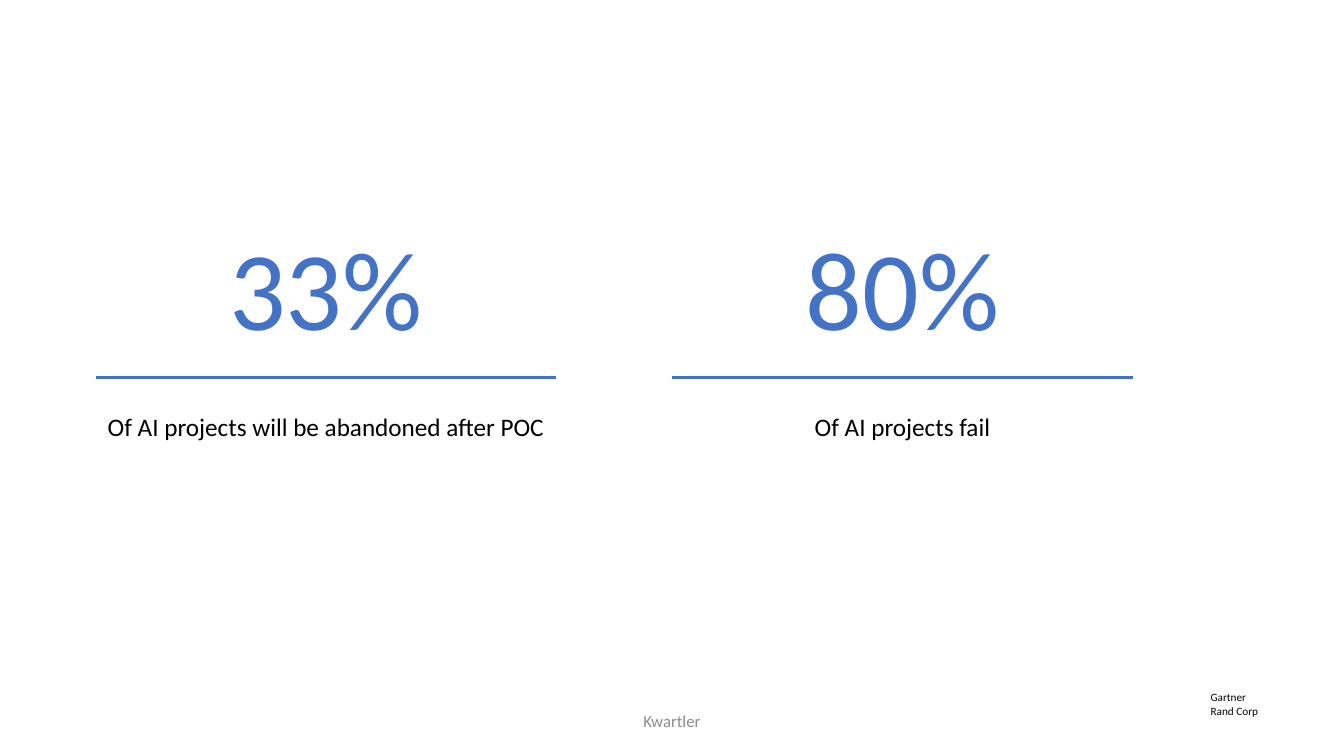
"""Build a slide that sets two AI project failure rates side by side."""
import pptx
import pptx.dml.color
import pptx.enum.shapes
import pptx.enum.text
import pptx.oxml
import pptx.oxml.ns
import pptx.util

Cm = pptx.util.Cm
Pt = pptx.util.Pt
PP_ALIGN = pptx.enum.text.PP_ALIGN
MSO_ANCHOR = pptx.enum.text.MSO_ANCHOR

BLUE = pptx.dml.color.RGBColor(0x44, 0x72, 0xC4)
BLACK = pptx.dml.color.RGBColor(0x00, 0x00, 0x00)
GREY = pptx.dml.color.RGBColor(0x8C, 0x8C, 0x8C)
FONT = "Calibri"

STATISTICS = [
    ("33%", "Of AI projects will be abandoned after POC"),
    ("80%", "Of AI projects fail"),
]


def add_text(slide, box, lines, size, color, align=PP_ALIGN.CENTER,
             anchor=MSO_ANCHOR.TOP, wrap=True, inset=True, space_after=0):
    """Write lines, one paragraph each, in a box and return its text frame."""
    frame = slide.shapes.add_textbox(*box).text_frame
    frame.word_wrap = wrap
    frame.vertical_anchor = anchor
    if not inset:
        frame.margin_left = frame.margin_right = 0
        frame.margin_top = frame.margin_bottom = 0
    for index, line in enumerate(lines):
        paragraph = frame.add_paragraph() if index else frame.paragraphs[0]
        paragraph.text = line
        paragraph.alignment = align
        paragraph.space_after = Pt(space_after)
        paragraph.font.name = FONT
        paragraph.font.size = Pt(size)
        paragraph.font.color.rgb = color
    return frame


def add_statistic(slide, box, figure, caption):
    """Place a large figure, a rule and a caption in a column."""
    left, top, width, height = box
    figure_width, figure_height = Cm(5.08), Cm(2.54)
    figure_left = left + (width - figure_width) // 2
    add_text(slide, (figure_left, top, figure_width, figure_height), [figure], 80,
             BLUE, anchor=MSO_ANCHOR.MIDDLE, inset=False, space_after=12)

    rule_y = top + Cm(3.6)
    rule = slide.shapes.add_connector(
        pptx.enum.shapes.MSO_CONNECTOR.STRAIGHT, left, rule_y, left + width, rule_y)
    rule.line.color.rgb = BLUE
    rule.line.width = Pt(2.25)
    rule._element.spPr.append(pptx.oxml.parse_xml(
        f"<a:effectLst {pptx.oxml.ns.nsdecls('a')}/>"))

    caption_offset = Cm(4.44)
    caption_box = (left, top + caption_offset, width, height - caption_offset)
    add_text(slide, caption_box, [caption], 18, BLACK, inset=False, space_after=12)


def add_sources(slide, box):
    """List the sources of the figures."""
    frame = add_text(slide, box, ["Gartner", "Rand Corp"], 8, BLACK,
                     align=PP_ALIGN.LEFT, wrap=False)
    frame.auto_size = pptx.enum.text.MSO_AUTO_SIZE.SHAPE_TO_FIT_TEXT


def add_footer(slide, box):
    """Write the speaker name in the footer."""
    add_text(slide, box, ["Kwartler"], 12, GREY, anchor=MSO_ANCHOR.MIDDLE)


def main():
    """Build the slide and save the presentation."""
    presentation = pptx.Presentation()
    presentation.slide_width = Cm(33.87)
    presentation.slide_height = Cm(19.05)
    slide = presentation.slides.add_slide(presentation.slide_layouts[6])

    first_left, column_pitch = Cm(2.41), Cm(14.53)
    for index, (figure, caption) in enumerate(STATISTICS):
        column = (first_left + index * column_pitch, Cm(5.92), Cm(11.61), Cm(6.85))
        add_statistic(slide, column, figure, caption)
    add_sources(slide, (Cm(30.26), Cm(17.28), Cm(1.73), Cm(0.94)))
    add_footer(slide, (Cm(11.22), Cm(17.65), Cm(11.43), Cm(1.02)))
    presentation.save("out.pptx")


if __name__ == "__main__":
    main()
